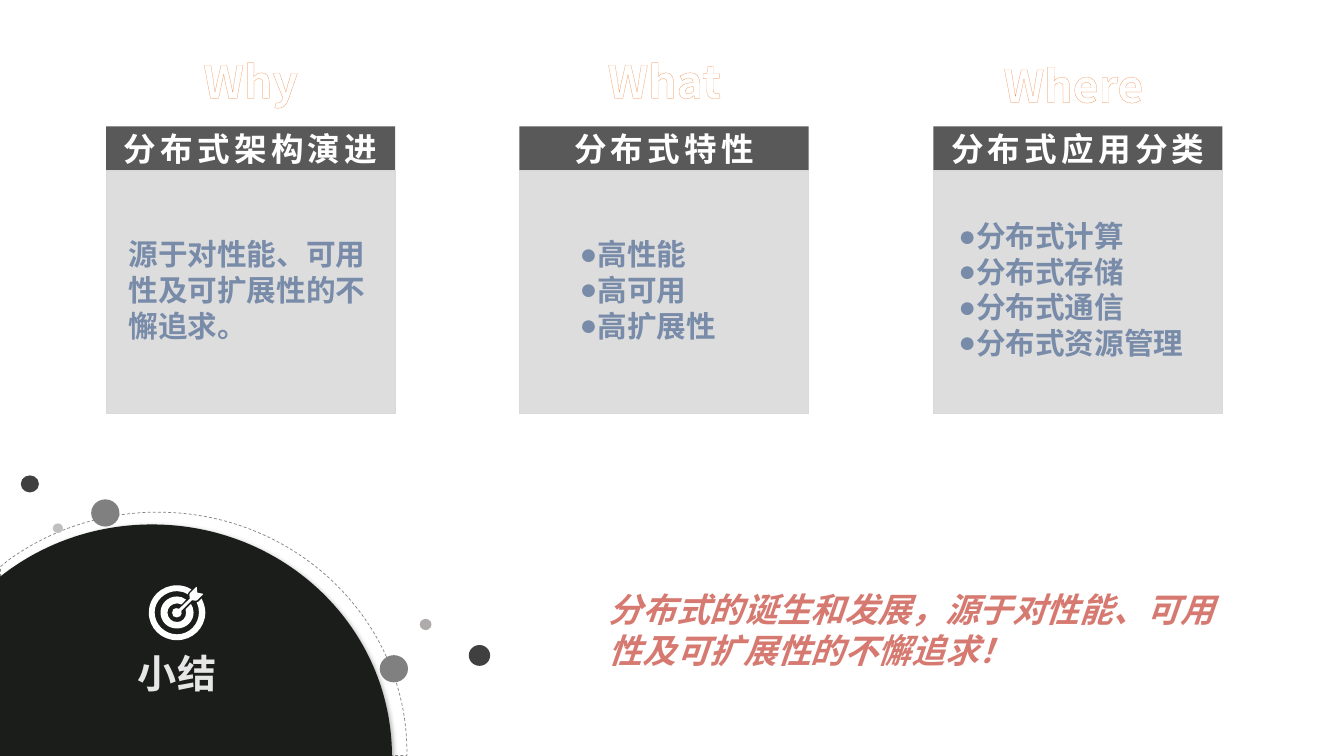
from lxml.etree import SubElement
from pptx import Presentation
from pptx.dml.color import RGBColor
from pptx.enum.dml import MSO_LINE
from pptx.enum.shapes import MSO_SHAPE
from pptx.enum.text import MSO_ANCHOR, PP_ALIGN
from pptx.oxml import parse_xml
from pptx.oxml.ns import qn
from pptx.util import Pt

PX = 9144
NS = 'xmlns:a="http://schemas.openxmlformats.org/drawingml/2006/main"'
CJK = "Noto Sans CJK SC"
rgb = RGBColor.from_string

prs = Presentation()
prs.slide_width, prs.slide_height = 2520 * PX, 1417 * PX
s = prs.slides.add_slide(prs.slide_layouts[6])


def write(sp, lines, size, color, align=PP_ALIGN.LEFT, font=CJK, spacing=0,
          italic=False, bullet=False, outline=None):
    tf = sp.text_frame
    tf.word_wrap = True
    for i, line in enumerate(lines):
        p = tf.paragraphs[0] if i == 0 else tf.add_paragraph()
        p.alignment = align
        p.line_spacing = Pt(round(size * 1.2, 1))
        if bullet:
            pPr = p._p.get_or_add_pPr()
            pPr.set("marL", "0")
            pPr.set("indent", str(-59 * PX))
            SubElement(pPr, qn("a:buFont")).set("typeface", "Arial")
            SubElement(pPr, qn("a:buChar")).set("char", "●")
        r = p.add_run()
        r.text = line
        r.font.size, r.font.bold, r.font.italic = Pt(size), True, italic
        r.font.name = font
        r.font.color.rgb = rgb(color)
        rPr = r._r.get_or_add_rPr()
        rPr.find(qn("a:latin")).addnext(parse_xml(f'<a:ea {NS} typeface="{CJK}"/>'))
        if spacing:
            rPr.set("spc", str(spacing))
        if outline:
            rPr.insert(0, parse_xml(
                f'<a:ln {NS} w="6600"><a:solidFill><a:srgbClr val="{outline}"/>'
                '</a:solidFill></a:ln>'))


def draw_curves(contours):
    fb = s.shapes.build_freeform(*contours[0][0], scale=PX)
    for i, (start, *segments) in enumerate(contours):
        if i:
            fb.move_to(*start)
        fb.add_line_segments([seg[-2:] for seg in segments], close=True)
    sp = fb.convert_to_shape()
    sp.shadow.inherit = False
    left, top = round(sp.left / PX), round(sp.top / PX)
    segments = [seg for contour in contours for seg in contour[1:]]
    for line, seg in zip(list(sp._element.iter(qn("a:lnTo"))), segments):
        if len(seg) == 6:
            line.tag = qn("a:cubicBezTo")
            for k in (2, 0):
                pt = parse_xml(f'<a:pt {NS} x="{seg[k] - left}" y="{seg[k + 1] - top}"/>')
                line.insert(0, pt)
    return sp


columns = [199, 974, 1750]
for left, title in zip(columns, ["分布式架构演进", "分布式特性", "分布式应用分类"]):
    for top, height, color in [(237, 84, "595959"), (319, 456, "D9D9D9")]:
        sp = s.shapes.add_shape(MSO_SHAPE.RECTANGLE, left * PX, top * PX, 542 * PX, height * PX)
        sp.shadow.inherit = False
        sp.fill.solid()
        sp.fill.fore_color.rgb = rgb(color)
        if height == 84:
            sp.line.fill.background()
            sp.text_frame.vertical_anchor = MSO_ANCHOR.MIDDLE
            write(sp, [title], 44, "FFFFFF", PP_ALIGN.CENTER, spacing=570)
        else:
            sp.line.color.rgb = rgb(color)
            sp.line.width = Pt(1)
            clr = sp.fill._xPr.find(qn("a:solidFill")).find(qn("a:srgbClr"))
            SubElement(clr, qn("a:alpha")).set("val", "89000")

orbit = draw_curves([[(296, 960), (554, 960, 763, 1162, 763, 1410), (763, 1416), (1, 1416),
                      (1, 1062), (17, 1049), (95, 993, 192, 960, 296, 960)]])
orbit.fill.background()
orbit.line.color.rgb = rgb("000000")
orbit.line.width = Pt(1)
orbit.line.dash_style = MSO_LINE.DASH
clr = orbit.line._ln.find(qn("a:solidFill")).find(qn("a:srgbClr"))
SubElement(clr, qn("a:alpha")).set("val", "48000")

dome = draw_curves([[(285, 983), (534, 983, 735, 1177, 735, 1418), (735, 1428), (-45, 1428),
                     (-45, 1123), (-33, 1110), (49, 1031, 161, 983, 285, 983)]])
dome.fill.solid()
dome.fill.fore_color.rgb = rgb("1A1D1A")
dome.line.fill.background()
effects = dome._element.spPr.find(qn("a:effectLst"))
effects.append(parse_xml(
    f'<a:outerShdw {NS} blurRad="76200" dist="38100" dir="2700000" algn="tl" rotWithShape="0">'
    '<a:srgbClr val="404040"><a:alpha val="40000"/></a:srgbClr></a:outerShdw>'))

dots = [(879, 1209, 40, 39, "404040"), (787, 1160, 22, 21, "AFABAB"),
        (171, 936, 53, 51, "808080"), (39, 891, 34, 32, "404040"),
        (99, 981, 19, 18, "BFBFBF"), (712, 1228, 53, 51, "808080")]
for x, y, w, h, color in dots:
    sp = s.shapes.add_shape(MSO_SHAPE.OVAL, x * PX, y * PX, w * PX, h * PX)
    sp.shadow.inherit = False
    sp.fill.solid()
    sp.fill.fore_color.rgb = rgb(color)
    sp.line.fill.background()

arrow = [(356, 1112), (368, 1100), (369, 1101), (370, 1111), (381, 1113), (381, 1114),
         (370, 1125), (367, 1126), (360, 1125), (340, 1145), (341, 1148, 341, 1152, 338, 1155),
         (334, 1158, 329, 1158, 325, 1155), (322, 1151, 322, 1146, 325, 1142),
         (328, 1140, 332, 1139, 336, 1141), (356, 1122), (355, 1115)]
outer_ring = [(378, 1122), (372, 1128), (369, 1129), (372, 1135, 373, 1142, 373, 1148),
              (373, 1170, 355, 1189, 332, 1189), (309, 1189, 290, 1170, 290, 1148),
              (290, 1126, 309, 1108, 332, 1108), (339, 1108, 346, 1110, 352, 1114),
              (354, 1110), (359, 1105), (352, 1100, 342, 1097, 332, 1097),
              (302, 1097, 279, 1120, 279, 1148), (279, 1177, 302, 1200, 332, 1200),
              (361, 1200, 385, 1177, 385, 1148), (385, 1139, 382, 1130, 378, 1122)]
inner_ring = [(332, 1131), (334, 1131, 337, 1132, 340, 1133), (349, 1124),
              (344, 1120, 338, 1118, 332, 1118), (314, 1118, 301, 1132, 301, 1148),
              (301, 1165, 314, 1178, 332, 1178), (349, 1178, 363, 1165, 363, 1148),
              (363, 1142, 361, 1136, 358, 1132), (348, 1142),
              (349, 1144, 349, 1146, 349, 1148), (349, 1158, 342, 1166, 332, 1166),
              (322, 1166, 314, 1158, 314, 1148), (314, 1139, 322, 1131, 332, 1131)]
target = draw_curves([arrow, outer_ring, inner_ring])
target.fill.solid()
target.fill.fore_color.rgb = rgb("FFFFFF")
target.line.fill.background()

heading = dict(size=60, color="FFFFFF", outline="ED7D31")
body = dict(size=40, color="788BA9")
center = PP_ALIGN.CENTER
texts = [
    ((1872, 104, 298, 111), ["Where"], heading),
    ((1132, 1099, 1200, 163), ["分布式的诞生和发展，源于对性能、可用性及可扩展性的不懈追求！"],
     dict(size=45.4, color="D67A71", italic=True)),
    ((128, 1212, 409, 99), ["小结"],
     dict(size=52.9, color="E7E6E6", align=center, font="Arial", spacing=90)),
    ((231, 438, 473, 212), ["源于对性能、可用性及可扩展性的不懈追求。"], body),
    ((1077, 438, 336, 212), ["高性能", "高可用", "高扩展性"], dict(body, bullet=True)),
    ((1787, 404, 468, 279), ["分布式计算", "分布式存储", "分布式通信", "分布式资源管理"],
     dict(body, bullet=True)),
    ((363, 96, 214, 111), ["Why"], dict(heading, align=center)),
    ((1121, 96, 249, 111), ["What"], dict(heading, align=center)),
]
for box, lines, style in texts:
    write(s.shapes.add_textbox(*[v * PX for v in box]), lines, **style)

prs.save("out.pptx")
